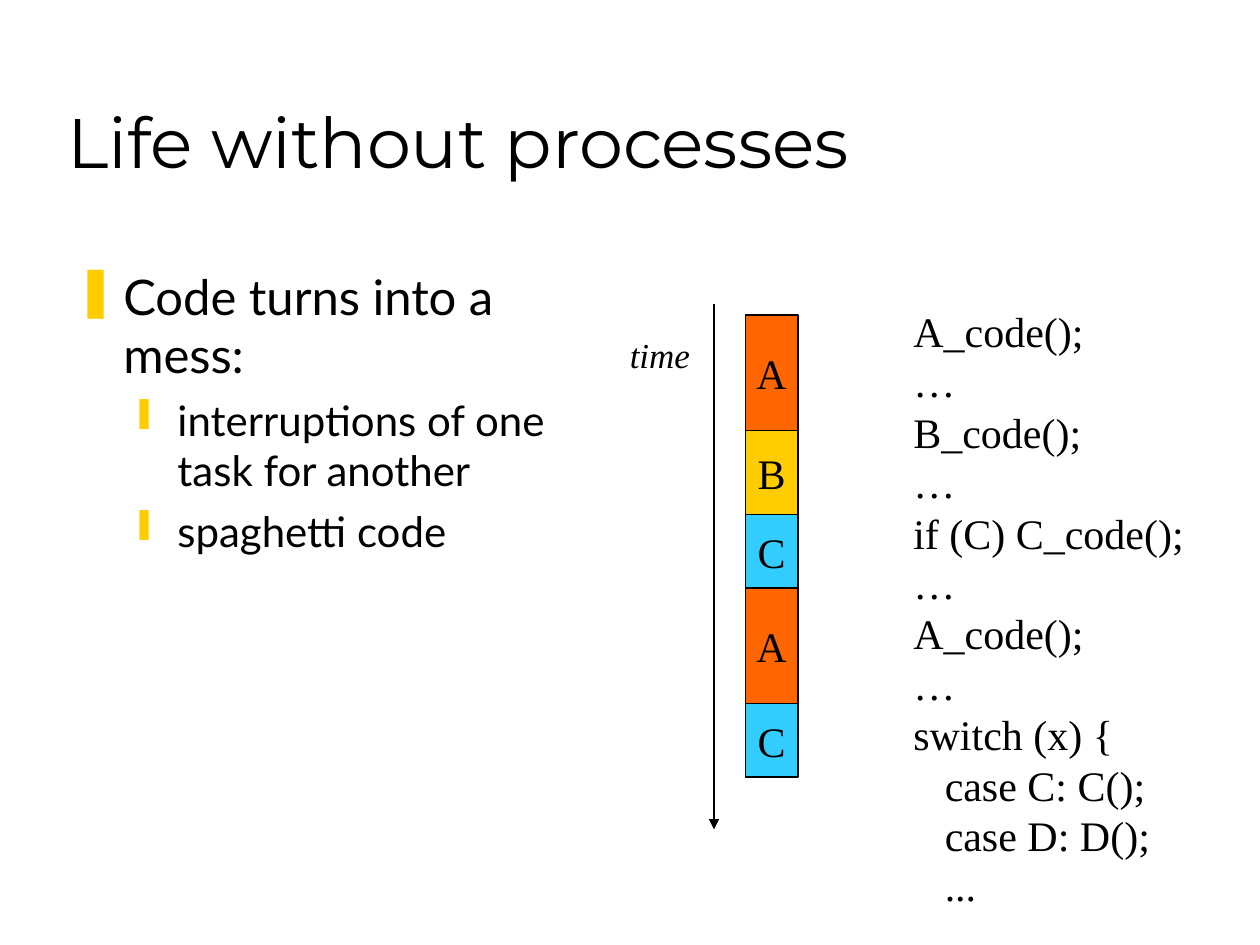
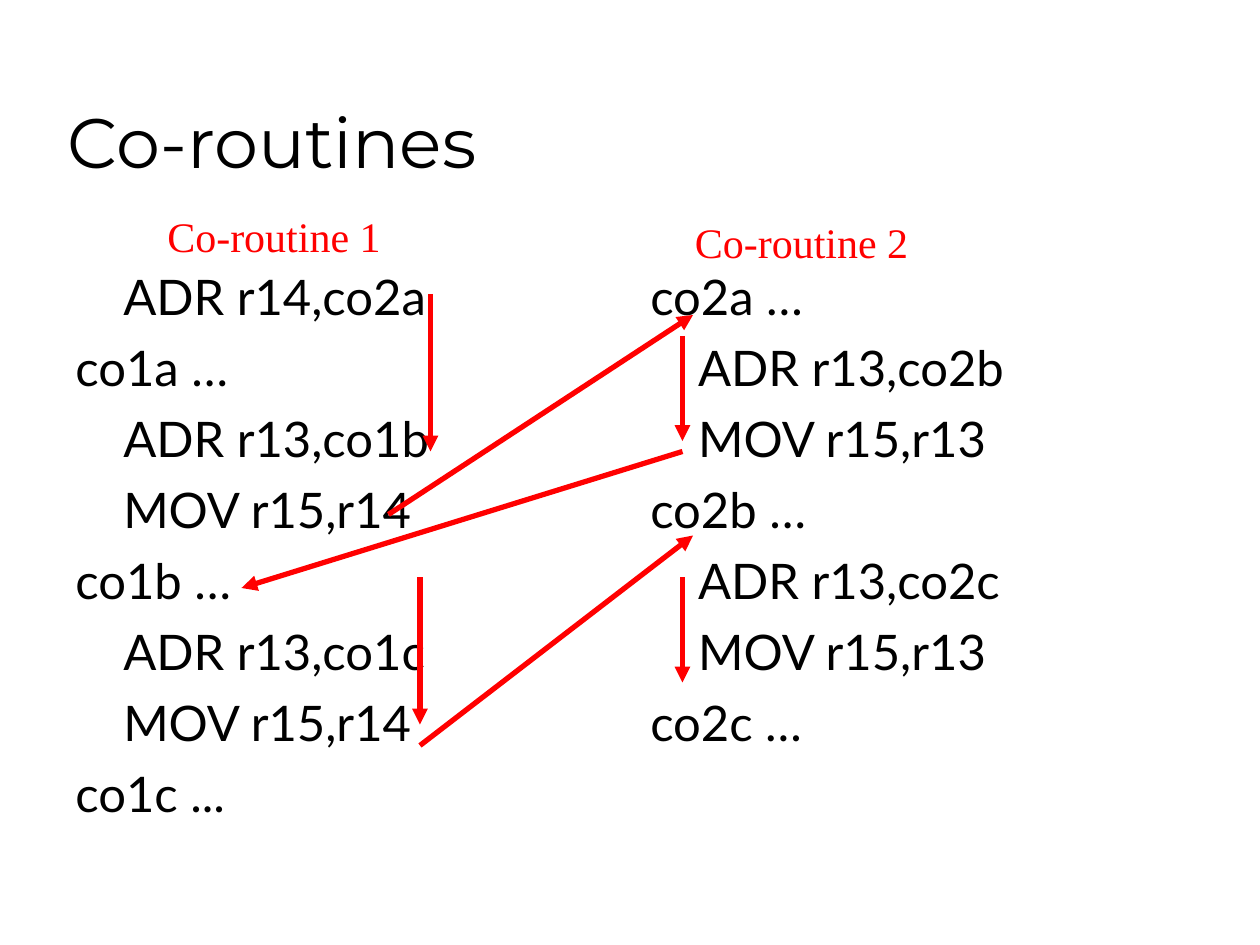
"""Builds two slides: life without processes, and co-routines, on a 120 by 90 grid."""
import dataclasses

import lxml.etree
import pptx
import pptx.dml.color
import pptx.enum.shapes
import pptx.enum.text
import pptx.oxml
import pptx.oxml.ns
import pptx.util


@dataclasses.dataclass(frozen=True)
class Theme:
    ink: str = "000000"
    orange: str = "FF6600"
    yellow: str = "FFCC00"
    blue: str = "33CCFF"
    red: str = "FF0000"
    title_font: str = "Montserrat"
    body_font: str = "Lato"
    label_font: str = "Times New Roman"
    title_size: int = 40
    body_size: int = 28
    label_size: int = 24
    note_size: int = 20
    thin: float = 0.75
    thick: float = 3


theme = Theme()
rgb = pptx.dml.color.RGBColor.from_string
qn = pptx.oxml.ns.qn
anchors = pptx.enum.text.MSO_ANCHOR
aligns = pptx.enum.text.PP_ALIGN

deck = pptx.Presentation()
deck.slide_width = pptx.util.Inches(10)
deck.slide_height = pptx.util.Inches(7.5)
cell = deck.slide_width / 120


def write(holder, text, at=None, font=theme.label_font, size=theme.label_size,
          color=theme.ink, italic=False, align=aligns.LEFT, anchor=anchors.TOP,
          wrap=False, margin=0, hanging=0, bullet=None, before=0):
    """Write lines into a new box on a slide, or add them to a given shape."""
    if at:
        holder = holder.shapes.add_textbox(*[int(part * cell) for part in at])
    frame = holder.text_frame
    frame.word_wrap = wrap
    frame.vertical_anchor = anchor
    for line in text.split("\n"):
        is_first = not frame.text
        paragraph = frame.paragraphs[0] if is_first else frame.add_paragraph()
        paragraph.alignment = align
        properties = paragraph._p.get_or_add_pPr()
        properties.set("marL", str(pptx.util.Inches(margin)))
        properties.set("indent", str(-pptx.util.Inches(hanging)))
        if before and not is_first:
            paragraph.space_before = pptx.util.Pt(before)
        if bullet:
            tint = lxml.etree.SubElement(properties, qn("a:buClr"))
            lxml.etree.SubElement(tint, qn("a:srgbClr"), val=theme.yellow)
            lxml.etree.SubElement(properties, qn("a:buChar"), char=bullet)
        run = paragraph.add_run()
        run.text = line
        run.font.name = font
        run.font.size = pptx.util.Pt(size)
        run.font.italic = italic
        run.font.color.rgb = rgb(color)
    return holder


def draw_arrow(slide, start, end, color, weight):
    """Draw a straight arrow between two grid points."""
    arrow = slide.shapes.add_connector(
        pptx.enum.shapes.MSO_CONNECTOR.STRAIGHT,
        *[int(part * cell) for part in (*start, *end)])
    arrow.line.color.rgb = rgb(color)
    arrow.line.width = pptx.util.Pt(weight)
    lxml.etree.SubElement(arrow.line._get_or_add_ln(), qn("a:tailEnd"), type="triangle")
    lxml.etree.SubElement(arrow._element.spPr, qn("a:effectLst"))


slides = []
for heading in ("Life without processes", "Co-routines"):
    slide = deck.slides.add_slide(deck.slide_layouts[6])
    write(slide, heading, at=(5.25, 3, 102, 15), font=theme.title_font,
          size=theme.title_size, anchor=anchors.BOTTOM, wrap=True)
    slides.append(slide)
mess, routines = slides

body_top, body_width, body_height = 24.75, 52.7, 54.7
left_column, right_column = 6, 60.75

points = write(mess, "Code turns into a mess:",
               at=(left_column, body_top, body_width, body_height),
               font=theme.body_font, size=theme.body_size, wrap=True,
               margin=0.38, hanging=0.38, bullet="❚")
write(points, "interruptions of one task for another\nspaghetti code",
      font=theme.body_font, size=theme.label_size, wrap=True,
      margin=0.81, hanging=0.31, bullet="❙", before=6)

draw_arrow(mess, (68, 29), (68, 79), theme.ink, theme.thin)
write(mess, "time", at=(58.8, 31.2, 8.2, 5.3), size=theme.note_size, italic=True)

tasks = {"A": (11, theme.orange), "B": (8, theme.yellow), "C": (7, theme.blue)}
task_top = 30
for task in "ABCAC":
    duration, fill = tasks[task]
    slot = mess.shapes.add_shape(
        pptx.enum.shapes.MSO_SHAPE.RECTANGLE,
        *[int(part * cell) for part in (71, task_top, 5, duration)])
    slot.shadow.inherit = False
    slot.fill.solid()
    slot.fill.fore_color.rgb = rgb(fill)
    slot.line.color.rgb = rgb(theme.ink)
    slot.line.width = pptx.util.Pt(theme.thin)
    write(slot, task, align=aligns.CENTER, anchor=anchors.MIDDLE)
    task_top += duration

spaghetti = """A_code();
…
B_code();
…
if (C) C_code();
…
A_code();
…
switch (x) {
   case C: C();
   case D: D();
   ..."""
write(mess, spaghetti, at=(85.8, 28.5, 28.2, 58.8))

listings = (
    (left_column, ("ADR r14,co2a", "co1a …", "ADR r13,co1b", "MOV r15,r14",
                   "co1b …", "ADR r13,co1c", "MOV r15,r14", "co1c ...")),
    (right_column, ("co2a …", "ADR r13,co2b", "MOV r15,r13", "co2b …",
                    "ADR r13,co2c", "MOV r15,r13", "co2c …")),
)
for column, instructions in listings:
    listing = routines.shapes.add_textbox(
        *[int(part * cell) for part in (column, body_top, body_width, body_height)])
    for instruction in instructions:
        write(listing, instruction, font=theme.body_font, size=theme.body_size,
              wrap=True, margin=0 if instruction.startswith("co") else 0.38, before=7)

control_flow = (
    ((41, 28), (41, 43)),
    ((37, 49), (66, 30)),
    ((65, 32), (65, 42)),
    ((65, 43), (23, 56)),
    ((40, 55), (40, 69)),
    ((40, 71), (66, 51)),
    ((65, 55), (65, 65)),
)
for start, end in control_flow:
    draw_arrow(routines, start, end, theme.red, theme.thick)

for caption, left, top in (("Co-routine 1", 14.75, 19.5), ("Co-routine 2", 65, 20)):
    write(routines, caption, at=(left, top, 22.7, 6), color=theme.red)

deck.save("out.pptx")
